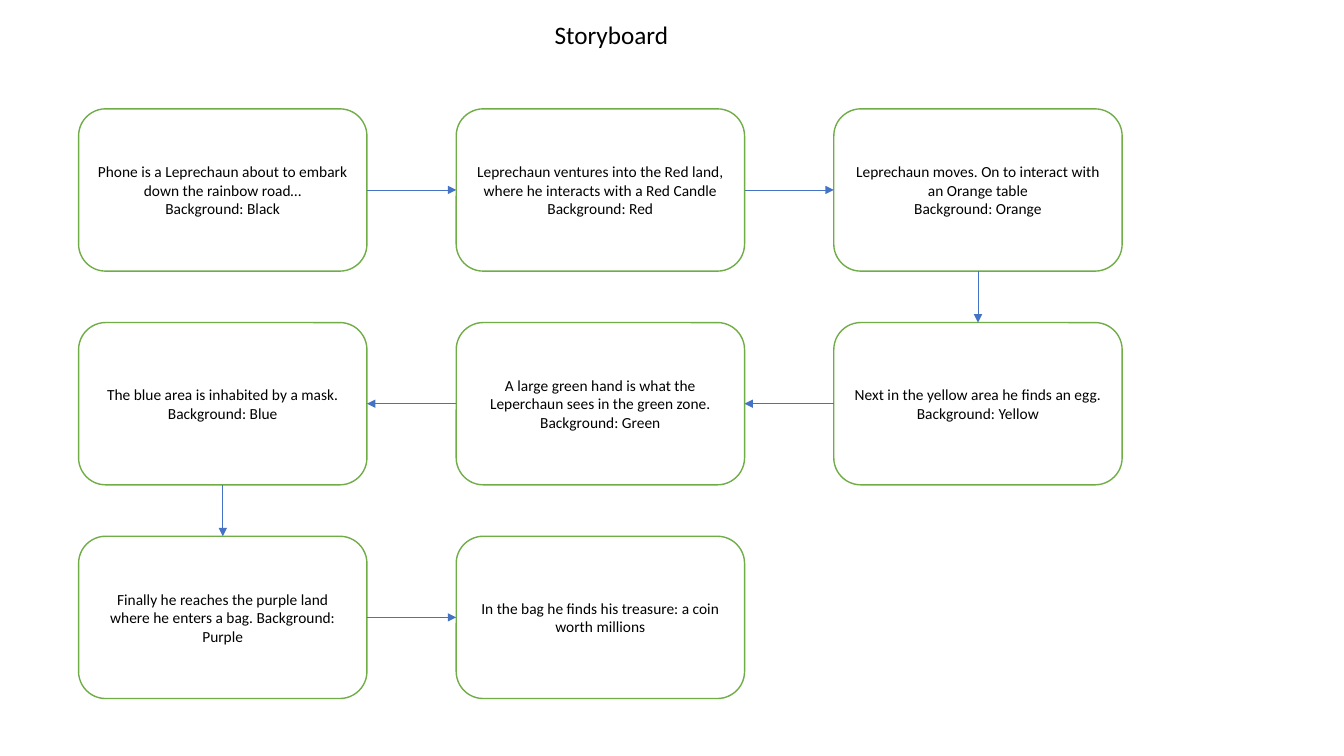
"""Build the Storyboard slide: eight scenes joined by arrows in a winding path."""
from itertools import pairwise

from lxml import etree
from pptx import Presentation
from pptx.dml.color import RGBColor
from pptx.enum.shapes import MSO_CONNECTOR, MSO_SHAPE
from pptx.enum.text import MSO_ANCHOR, MSO_AUTO_SIZE, PP_ALIGN
from pptx.oxml.ns import qn
from pptx.util import Inches, Pt

BLACK = RGBColor(0x00, 0x00, 0x00)
WHITE = RGBColor(0xFF, 0xFF, 0xFF)
GREEN = RGBColor(0x70, 0xAD, 0x47)
BLUE = RGBColor(0x44, 0x72, 0xC4)
ROUNDED = MSO_SHAPE.ROUNDED_RECTANGLE
STRAIGHT = MSO_CONNECTOR.STRAIGHT
LEFT, CENTER = PP_ALIGN.LEFT, PP_ALIGN.CENTER
TOP, MIDDLE = MSO_ANCHOR.TOP, MSO_ANCHOR.MIDDLE
NO_AUTOFIT = MSO_AUTO_SIZE.NONE
TOP_SITE, LEFT_SITE, BOTTOM_SITE, RIGHT_SITE = range(4)

GRID_LEFT, GRID_TOP = 0.78, 1.08
COLUMN_STEP, ROW_STEP = 3.745, 2.12
SCENE_WIDTH, SCENE_HEIGHT = 2.86, 1.61

SCENES = [
    (0, 0, "Phone is a Leprechaun about to embark down the rainbow road…\nBackground: Black"),
    (0, 1, "Leprechaun ventures into the Red land, where he interacts with a Red Candle\nBackground: Red"),
    (0, 2, "Leprechaun moves. On to interact with an Orange table\nBackground: Orange"),
    (1, 2, "Next in the yellow area he finds an egg. Background: Yellow"),
    (1, 1, "A large green hand is what the Leperchaun sees in the green zone. Background: Green"),
    (1, 0, "The blue area is inhabited by a mask. Background: Blue"),
    (2, 0, "Finally he reaches the purple land where he enters a bag. Background: Purple"),
    (2, 1, "In the bag he finds his treasure: a coin worth millions"),
]


def write_text(shape, text, size, alignment, anchor):
    frame = shape.text_frame
    frame_format = {"text": text, "word_wrap": True, "auto_size": NO_AUTOFIT, "vertical_anchor": anchor}
    for name, value in frame_format.items():
        setattr(frame, name, value)
    for paragraph in frame.paragraphs:
        paragraph.alignment = alignment
        for run in paragraph.runs:
            for name, value in {"name": "Calibri", "size": Pt(size)}.items():
                setattr(run.font, name, value)
            run.font.color.rgb = BLACK


presentation = Presentation()
presentation.slide_width, presentation.slide_height = Inches(13.33), Inches(7.5)
slide = presentation.slides.add_slide(presentation.slide_layouts.get_by_name("Title Only"))

title = slide.shapes.title
title_place = {"left": 5.4, "top": 0.14, "width": 3.94, "height": 0.4}
for name, value in title_place.items():
    setattr(title, name, Inches(value))
write_text(title, "Storyboard", 18, LEFT, TOP)

scene_shapes = []
for row, column, text in SCENES:
    left = Inches(GRID_LEFT + column * COLUMN_STEP)
    top = Inches(GRID_TOP + row * ROW_STEP)
    shape = slide.shapes.add_shape(ROUNDED, left, top, Inches(SCENE_WIDTH), Inches(SCENE_HEIGHT))
    shape.shadow.inherit = False
    shape.fill.solid()
    shape.fill.fore_color.rgb = WHITE
    shape.line.color.rgb = GREEN
    shape.line.width = Pt(1)
    write_text(shape, text, 11, CENTER, MIDDLE)
    scene_shapes.append(shape)

for start, end in pairwise(scene_shapes):
    if start.left == end.left:
        start_site, end_site = BOTTOM_SITE, TOP_SITE
    elif start.left < end.left:
        start_site, end_site = RIGHT_SITE, LEFT_SITE
    else:
        start_site, end_site = LEFT_SITE, RIGHT_SITE
    arrow = slide.shapes.add_connector(STRAIGHT, 0, 0, 0, 0)
    arrow.begin_connect(start, start_site)
    arrow.end_connect(end, end_site)
    arrow.line.color.rgb = BLUE
    arrow.line.width = Pt(0.5)
    etree.SubElement(arrow.line._get_or_add_ln(), qn("a:tailEnd"), type="triangle")
    etree.SubElement(arrow._element.spPr, qn("a:effectLst"))

presentation.save("out.pptx")
